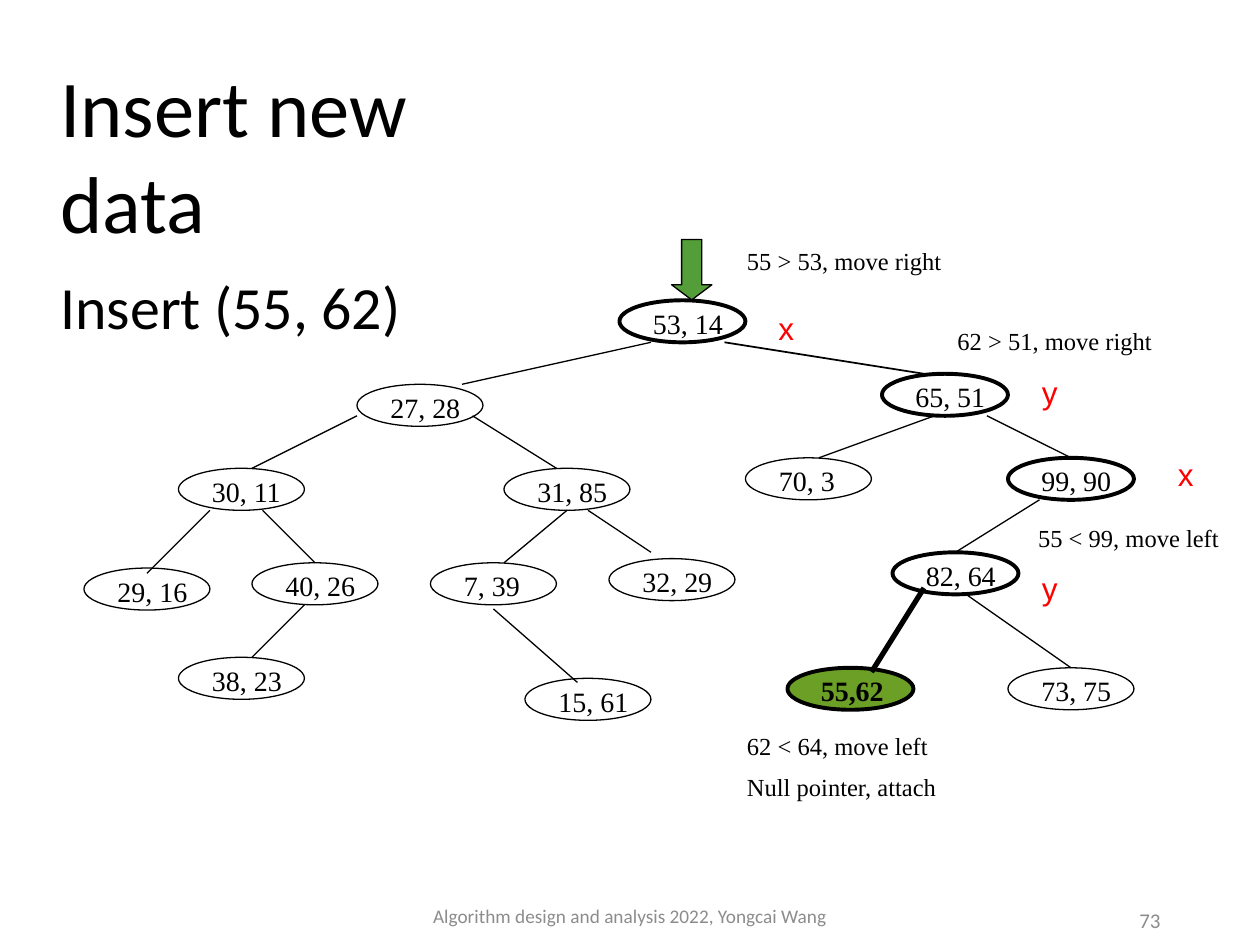
import dataclasses

import pptx
import pptx.dml.color
import pptx.enum.shapes
import pptx.enum.text
import pptx.oxml
import pptx.util

SHAPE = pptx.enum.shapes.MSO_SHAPE
ALIGN = pptx.enum.text.PP_ALIGN
ANCHOR = pptx.enum.text.MSO_ANCHOR
FIT = pptx.enum.text.MSO_AUTO_SIZE
NS = 'xmlns:a="http://schemas.openxmlformats.org/drawingml/2006/main"'


@dataclasses.dataclass(frozen=True)
class Theme:
    ink: str = "000000"
    paper: str = "FFFFFF"
    mark: str = "FF0000"
    fresh: str = "6B9F25"
    arrow: str = "549E39"
    grey: str = "8C8C8C"
    sans: str = "Calibri"
    serif: str = "Times New Roman"
    axis: str = "Arial"
    head: float = 46
    title: float = 34.2
    node: float = 16
    note: float = 14
    tag: float = 18
    foot: float = 11
    page: float = 12
    thin: float = 0.75
    bold: float = 2.25
    thick: float = 3


T = Theme()
UNIT = 1 / 12   # side of a grid cell, in inches
ROW0 = 0.05     # top of the tree grid
NODE = (12, 4)  # columns and rows of a node

# column, row, label, look
NODES = [
    (59, 28, "53, 14", "bold"),
    (34, 36, "27, 28", "thin"), (84, 35, "65, 51", "bold"),
    (17, 44, "30, 11", "thin"), (48, 44, "31, 85", "thin"),
    (71, 43, "70, 3", "thin"), (96, 43, "99, 90", "bold"),
    (8, 53.5, "29, 16", "thin"), (24, 53, "40, 26", "thin"),
    (41, 53, "7, 39", "thin"), (58, 52.6, "32, 29", "thin"),
    (85, 52, "82, 64", "bold"), (96, 63, "73, 75", "thin"),
    (50, 64, "15, 61", "thin"), (17, 62, "38, 23", "thin"),
    (75, 63, "55,62", "new"),
]
# start column and row, end column and row, width
EDGES = [
    (62, 32, 44, 36, T.thin), (69, 32, 88, 35, 1),
    (34, 39, 24, 44, T.thin), (45, 39, 53, 44, T.thin),
    (89, 39, 78, 43, T.thin), (94, 39, 102, 43, T.thin),
    (99, 47, 91, 52, T.thin), (92, 56, 102, 63, T.thin),
    (20, 48, 14, 54, T.thin), (25, 48, 30, 53, T.thin),
    (29, 57, 24, 62, T.thin), (54, 48, 48, 53, T.thin),
    (56, 48, 62, 52, T.thin), (88, 55.4, 83, 63.4, T.thick),
    (47, 57.4, 55, 64.4, T.thin),
]
NOTES = [
    (5.83, 1.9, ["55 > 53, move right"]),
    (7.5, 2.54, ["62 > 51, move right"]),
    (8.14, 4.1, ["55 < 99, move left"]),
    (5.83, 5.75, ["62 < 64, move left", "Null pointer, attach"]),
]
TAGS = [(6.08, 2.4, "x"), (8.17, 2.91, "y"), (9.25, 3.56, "x"), (8.17, 4.47, "y")]


def inch(*sizes):
    return [pptx.util.Inches(s) for s in sizes]


def grid(col, row):
    return col * UNIT, ROW0 + row * UNIT


def rgb(code):
    return pptx.dml.color.RGBColor.from_string(code)


def write(frame, lines, size, font, color=T.ink, bold=False, align=ALIGN.LEFT,
          anchor=ANCHOR.TOP):
    frame.word_wrap = True
    frame.auto_size = FIT.NONE
    frame.vertical_anchor = anchor
    for i, line in enumerate(lines):
        para = frame.add_paragraph() if i else frame.paragraphs[0]
        para.alignment = align
        para.space_before = pptx.util.Pt(size / 2 if i else 0)
        run = para.add_run()
        run.text = line
        run.font.size = pptx.util.Pt(size)
        run.font.name = font
        run.font.bold = bold
        run.font.color.rgb = rgb(color)


def label(shapes, box, lines, *style, **more):
    write(shapes.add_textbox(*inch(*box)).text_frame, lines, *style, **more)


def solid(shapes, kind, box, fill, width):
    shape = shapes.add_shape(kind, *inch(*box))
    shape.shadow.inherit = False
    shape.fill.solid()
    shape.fill.fore_color.rgb = rgb(fill)
    shape.line.color.rgb = rgb(T.ink)
    shape.line.width = pptx.util.Pt(width)
    return shape


def node(shapes, col, row, text, look):
    x, y = grid(col, row)
    wide, high = (n * UNIT for n in NODE)
    new = look == "new"
    group = shapes.add_group_shape().shapes
    solid(group, SHAPE.OVAL, (x, y, wide, high), T.fresh if new else T.paper,
          T.thin if look == "thin" else T.bold)
    label(group, (x + 2 * UNIT, y, 10 * UNIT, 0.37), [text], T.node, T.serif, bold=new)


def edge(shapes, col, row, col2, row2, width):
    ends = inch(*grid(col, row), *grid(col2, row2))
    line = shapes.add_connector(pptx.enum.shapes.MSO_CONNECTOR.STRAIGHT, *ends)
    line.line.color.rgb = rgb(T.ink)
    line.line.width = pptx.util.Pt(width)
    line._element.spPr.append(pptx.oxml.parse_xml(f"<a:effectLst {NS}/>"))


def tree(shapes):
    for item in NODES:
        node(shapes, *item)
    for item in EDGES:
        edge(shapes, *item)
    arrow = solid(shapes, SHAPE.DOWN_ARROW, (5.33, 1.9, 0.32, 0.48), T.arrow, T.thin)
    arrow.adjustments[0] = 0.5
    arrow.adjustments[1] = 0.375


def steps(shapes):
    for x, y, lines in NOTES:
        high = 0.33 + 0.35 * (len(lines) - 1)
        label(shapes, (x, y, 1.75, high), lines, T.note, T.serif)
    for x, y, text in TAGS:
        label(shapes, (x, y, 0.33, 0.4), [text], T.tag, T.axis, T.mark)


def header(shapes):
    title = shapes.title
    title.left, title.top, title.width, title.height = inch(0.38, 2.17, 3.42, 0.58)
    write(title.text_frame, ["Insert (55, 62)"], T.title, T.sans, anchor=ANCHOR.MIDDLE)
    title.text_frame.paragraphs[0].line_spacing = 0.9
    label(shapes, (0.38, 0.4, 3.9, 1.65), ["Insert new data"], T.head, T.sans)


def footer(shapes):
    label(shapes, (3.31, 7.07, 3.38, 0.4),
          ["Algorithm design and analysis 2022, Yongcai Wang"],
          T.foot, T.sans, T.grey, align=ALIGN.CENTER, anchor=ANCHOR.MIDDLE)
    label(shapes, (7.06, 7.1, 2.25, 0.4), ["73"], T.page, T.sans, T.grey,
          align=ALIGN.RIGHT, anchor=ANCHOR.MIDDLE)


def main():
    deck = pptx.Presentation()
    deck.slide_width, deck.slide_height = inch(10, 7.5)
    shapes = deck.slides.add_slide(deck.slide_layouts[5]).shapes
    for part in (header, tree, steps, footer):
        part(shapes)
    deck.save("out.pptx")


if __name__ == "__main__":
    main()
